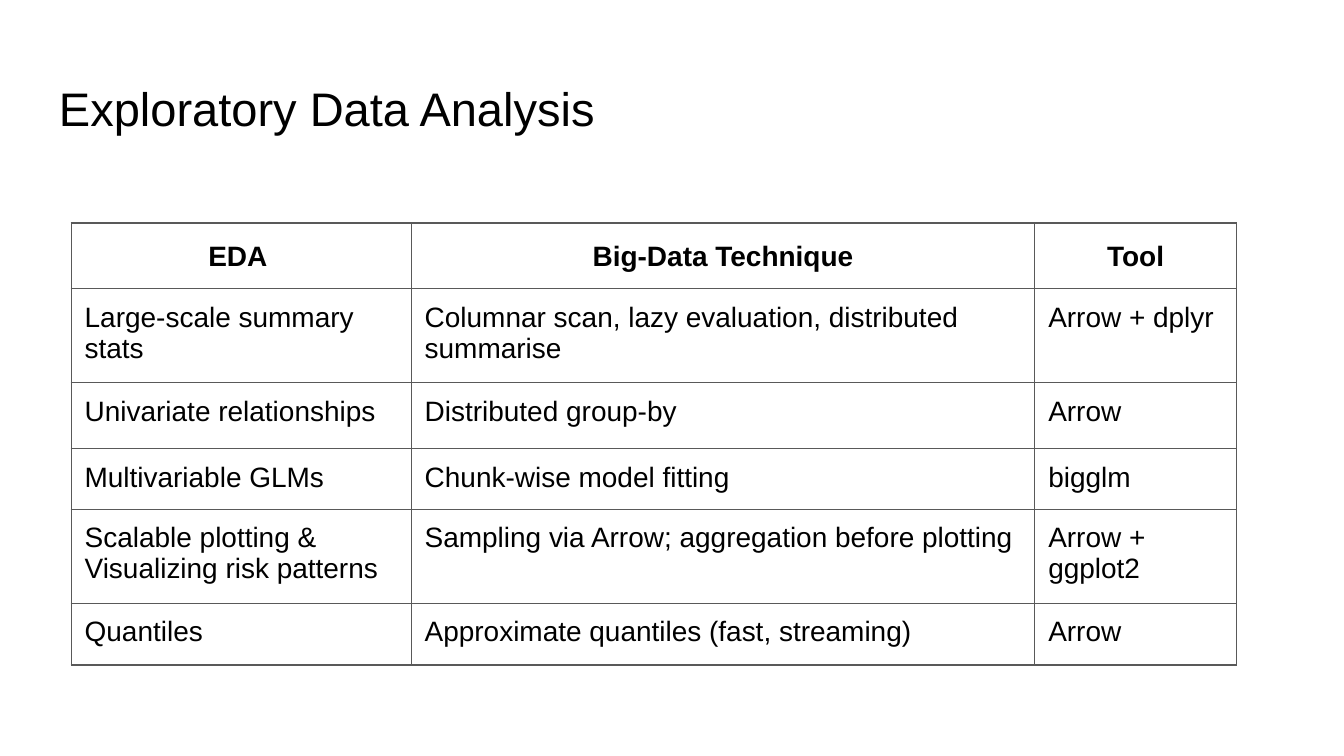
from pptx import Presentation
from pptx.dml.color import RGBColor as RGB
from pptx.enum.text import MSO_ANCHOR as ANCHOR, PP_ALIGN as ALIGN
from pptx.oxml import parse_xml
from pptx.oxml.ns import nsdecls
from pptx.util import Inches, Pt

# Content
TITLE = "Exploratory Data Analysis"
ROWS = [
    ("EDA ", "Big-Data Technique", "Tool"),
    ("Large-scale summary stats",
     "Columnar scan, lazy evaluation, distributed summarise", "Arrow + dplyr"),
    ("Univariate relationships", "Distributed group-by", "Arrow"),
    ("Multivariable GLMs", "Chunk-wise model fitting", "bigglm"),
    ("Scalable plotting & Visualizing risk patterns",
     "Sampling via Arrow; aggregation before plotting", "Arrow + ggplot2"),
    ("Quantiles", "Approximate quantiles (fast, streaming)", "Arrow"),
]

# Theme and grid, in inches and points
THEME = dict(font="Arial", ink="000000", paper="FFFFFF", rule="595959",
             title=25.2, body=15, line=0.75)
SLIDE_W = 10
SLIDE_H = SLIDE_W * 9 / 16
MARGIN, TITLE_TOP, TITLE_H = 0.34, 0.49, 0.63
TABLE_LEFT, TABLE_TOP = 0.53, 1.66
COLS = [2.53, 4.64, 1.5]
ROW_HEIGHTS = [0.48, 0.69, 0.49, 0.45, 0.66, 0.46]
INSET = {f"margin_{side}": Inches(0.1)
         for side in ("left", "right", "top", "bottom")}


def set_all(target, values):
    for name, value in values.items():
        setattr(target, name, value)


def write(tf, text, size, bold=False, **layout):
    p = tf.paragraphs[0]
    set_all(p, layout)
    r = p.add_run()
    r.text = text
    set_all(r.font, dict(name=THEME["font"], size=Pt(size), bold=bold))
    r.font.color.rgb = RGB.from_string(THEME["ink"])
    # The paragraph mark takes the text size, so it does not stretch the row
    p._p.append(parse_xml(
        f'<a:endParaRPr {nsdecls("a")} sz="{round(size * 100)}"/>'))


def add_borders(cell):
    tcPr = cell._tc.get_or_add_tcPr()
    for i, edge in enumerate(("lnL", "lnR", "lnT", "lnB")):
        tcPr.insert(i, parse_xml(
            f'<a:{edge} {nsdecls("a")} w="{Pt(THEME["line"])}"><a:solidFill>'
            f'<a:srgbClr val="{THEME["rule"]}"/></a:solidFill></a:{edge}>'))


prs = Presentation()
prs.slide_width, prs.slide_height = Inches(SLIDE_W), Inches(SLIDE_H)
s = prs.slides.add_slide(prs.slide_layouts[6])
s.background.fill.solid()
s.background.fill.fore_color.rgb = RGB.from_string(THEME["paper"])

# Title
box = s.shapes.add_textbox(Inches(MARGIN), Inches(TITLE_TOP),
                           Inches(SLIDE_W - 2 * MARGIN), Inches(TITLE_H))
tf = box.text_frame
set_all(tf, dict(INSET, word_wrap=True, vertical_anchor=ANCHOR.TOP))
write(tf, TITLE, THEME["title"])

# Table
table = s.shapes.add_table(
    len(ROWS), len(COLS), Inches(TABLE_LEFT), Inches(TABLE_TOP),
    Inches(sum(COLS)), Inches(sum(ROW_HEIGHTS))).table
set_all(table, dict(first_row=False, horz_banding=False))
for col, width in zip(table.columns, COLS):
    col.width = Inches(width)
for row, height in zip(table.rows, ROW_HEIGHTS):
    row.height = Inches(height)

for i, texts in enumerate(ROWS):
    header = i == 0
    layout = dict(alignment=ALIGN.CENTER, line_spacing=1.15) if header else {}
    for j, text in enumerate(texts):
        cell = table.cell(i, j)
        set_all(cell, INSET)
        cell.fill.background()
        add_borders(cell)
        write(cell.text_frame, text, THEME["body"], bold=header, **layout)

prs.save("out.pptx")
